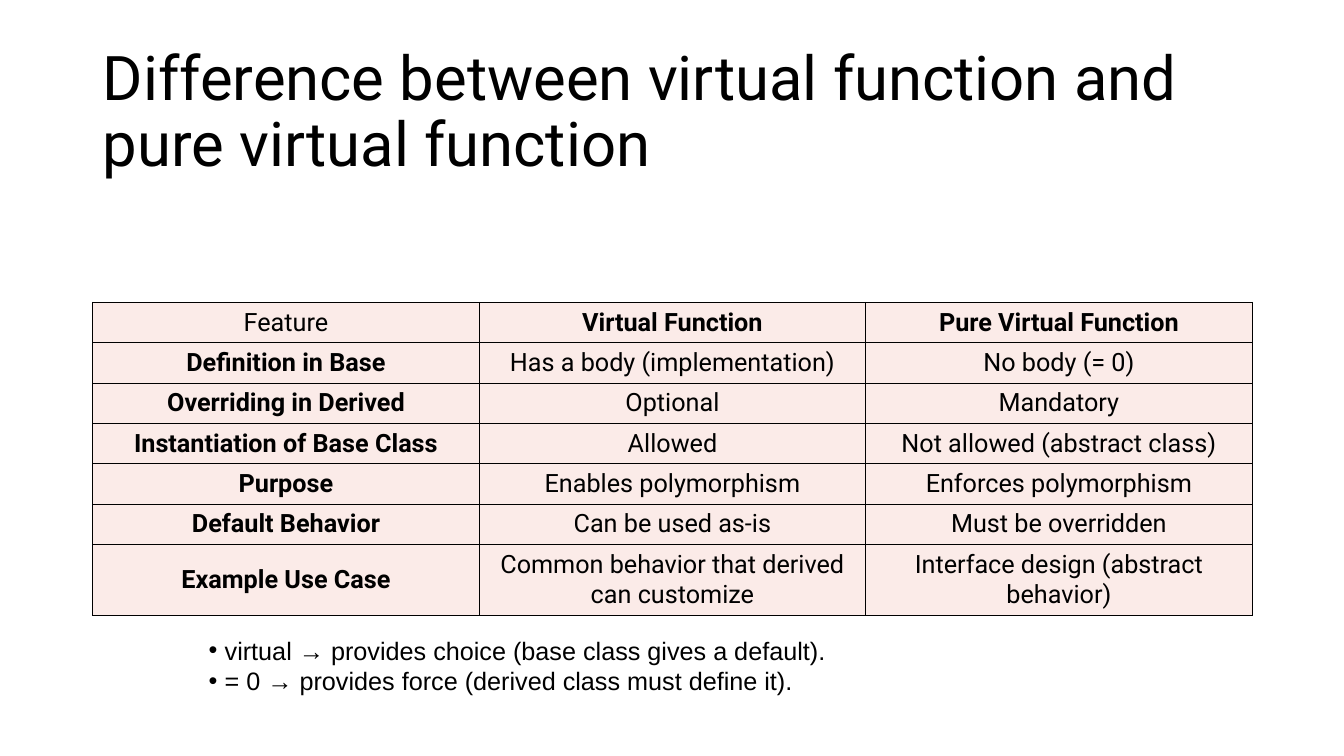
from pptx import Presentation
from pptx.dml.color import RGBColor
from pptx.enum.text import MSO_ANCHOR, PP_ALIGN
from pptx.oxml import parse_xml
from pptx.oxml.ns import nsdecls
from pptx.util import Inches, Pt

BLACK = RGBColor(0x00, 0x00, 0x00)
BLUSH = RGBColor(0xFB, 0xEB, 0xE8)

ROWS = [
    ("Feature", "Virtual Function", "Pure Virtual Function"),
    ("Definition in Base", "Has a body (implementation)", "No body (= 0)"),
    ("Overriding in Derived", "Optional", "Mandatory"),
    ("Instantiation of Base Class", "Allowed", "Not allowed (abstract class)"),
    ("Purpose", "Enables polymorphism", "Enforces polymorphism"),
    ("Default Behavior", "Can be used as-is", "Must be overridden"),
    ("Example Use Case", "Common behavior that derived can customize",
     "Interface design (abstract behavior)"),
]
ROW_HEIGHTS = [0.39] * 6 + [0.69]
NOTES = [
    "virtual → provides choice (base class gives a default).",
    "= 0 → provides force (derived class must define it).",
]


def write(p, text, font="Roboto", size=18, bold=False, align=None, spacing=None):
    r = p.add_run()
    r.text = text
    r.font.name = font
    r.font.size = Pt(size)
    r.font.bold = bold
    r.font.color.rgb = BLACK
    p.alignment = align
    p.line_spacing = spacing


def add_bullet(p, indent=0.16):
    pPr = p._p.get_or_add_pPr()
    pPr.set("marL", str(Inches(indent)))
    pPr.set("indent", str(-Inches(indent)))
    pPr.append(parse_xml(f'<a:buFont {nsdecls("a")} typeface="Arial"/>'))
    pPr.append(parse_xml(f'<a:buChar {nsdecls("a")} char="•"/>'))


def add_borders(cell, width=1):
    tcPr = cell._tc.get_or_add_tcPr()
    for i, side in enumerate(("lnL", "lnR", "lnT", "lnB")):
        tcPr.insert(i, parse_xml(
            f'<a:{side} {nsdecls("a")} w="{Pt(width)}"><a:solidFill>'
            f'<a:srgbClr val="{BLACK}"/></a:solidFill></a:{side}>'))


class SlideBuilder:
    def __init__(self, prs):
        self.slide = prs.slides.add_slide(prs.slide_layouts[6])

    def text_frame(self, left, top, width, height, anchor=MSO_ANCHOR.TOP):
        box = self.slide.shapes.add_textbox(
            Inches(left), Inches(top), Inches(width), Inches(height))
        tf = box.text_frame
        tf.word_wrap = True
        tf.vertical_anchor = anchor
        return tf

    def title(self, text):
        tf = self.text_frame(0.92, 0.4, 11.5, 1.45, MSO_ANCHOR.MIDDLE)
        write(tf.paragraphs[0], text, size=44, spacing=0.9)

    def table(self, rows, heights):
        table = self.slide.shapes.add_table(
            len(rows), len(rows[0]), Inches(0.92), Inches(3),
            Inches(11.5), Inches(sum(heights))).table
        for row, height in zip(table.rows, heights):
            row.height = Inches(height)
        for i, texts in enumerate(rows):
            for j, text in enumerate(texts):
                cell = table.cell(i, j)
                cell.fill.solid()
                cell.fill.fore_color.rgb = BLUSH
                cell.vertical_anchor = MSO_ANCHOR.MIDDLE
                add_borders(cell)
                # Row and column headings are bold, except the corner cell
                write(cell.text_frame.paragraphs[0], text,
                      bold=(i == 0) != (j == 0), align=PP_ALIGN.CENTER)

    def bullets(self, lines):
        tf = self.text_frame(1.97, 6.25, 6.62, 1.01)
        for i, line in enumerate(lines):
            p = tf.add_paragraph() if i else tf.paragraphs[0]
            add_bullet(p)
            write(p, line, font="Arial")


def main():
    prs = Presentation()
    prs.slide_width = Inches(13.33)
    prs.slide_height = Inches(7.5)
    s = SlideBuilder(prs)
    s.title("Difference between virtual function and pure virtual function")
    s.table(ROWS, ROW_HEIGHTS)
    s.bullets(NOTES)
    prs.save("out.pptx")


if __name__ == "__main__":
    main()
